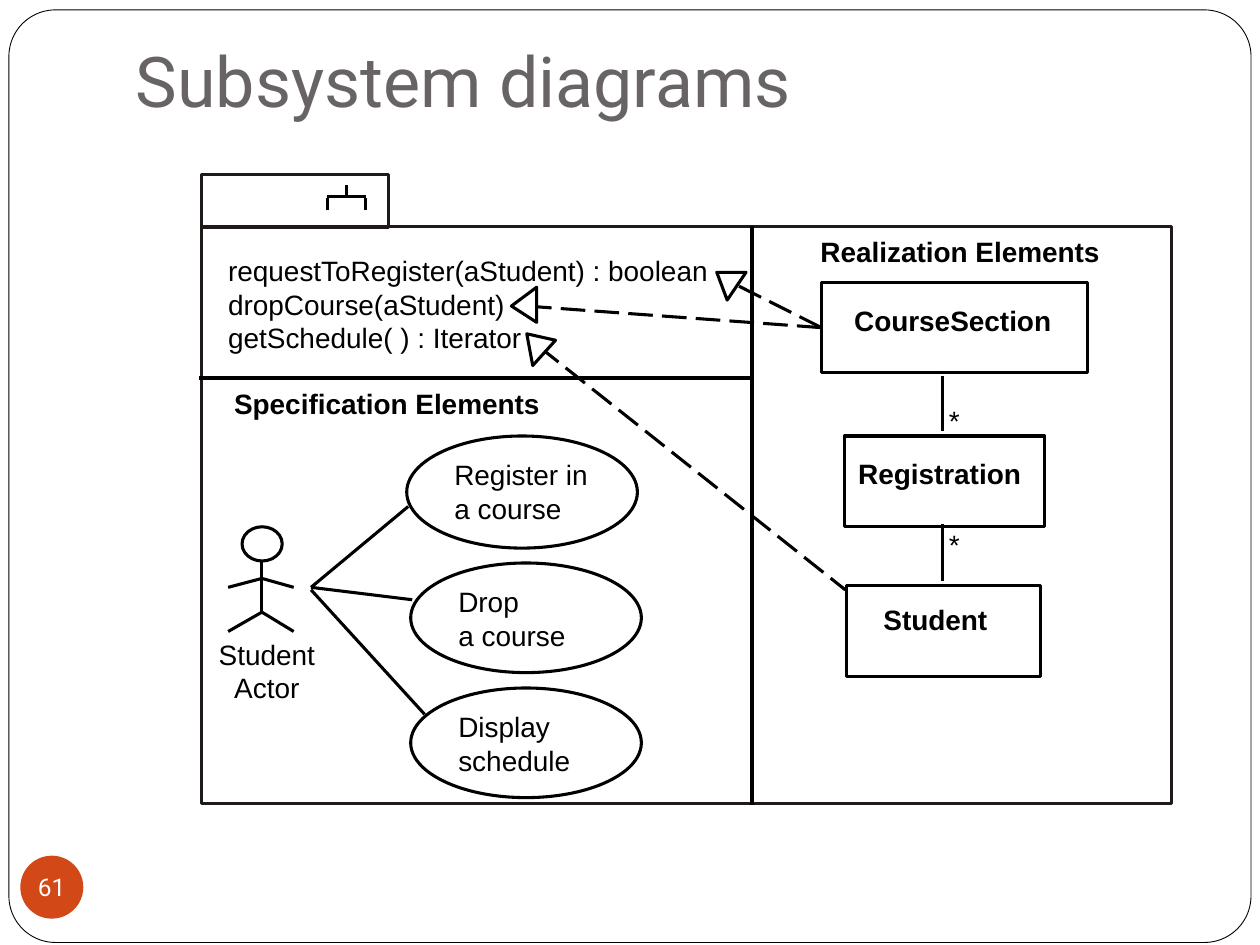
"""Build the slide "Subsystem diagrams", a UML subsystem with its compartments."""
import pptx
import pptx.dml.color
import pptx.enum.dml
import pptx.enum.shapes
import pptx.enum.text
import pptx.oxml
import pptx.util

Cm = pptx.util.Cm
Pt = pptx.util.Pt
RGB = pptx.dml.color.RGBColor.from_string
SHAPE = pptx.enum.shapes.MSO_SHAPE
ALIGN = pptx.enum.text.PP_ALIGN
ANCHOR = pptx.enum.text.MSO_ANCHOR

THEME = {
    "ink": "000000", "frame": "1F1A17", "paper": "FFFFFF",
    "title": "696464", "accent": "D34817",
    "body_font": "Arial", "title_font": "Roboto",
    "title_size": 40, "body_size": 16, "number_size": 14,
    "line": 1.75, "border": 0.5,
}

prs = pptx.Presentation()
prs.slide_width, prs.slide_height = Cm(25.4), Cm(19.05)
s = prs.slides.add_slide(prs.slide_layouts[6])


def add_item(kind, box, text="", fill=None, line="ink", width="line", font="body_font",
             size="body_size", color="ink", bold=False, align=ALIGN.LEFT,
             anchor=ANCHOR.TOP, inset=(0, 0, 0, 0), wrap=True):
    box = [Cm(v) for v in box]
    if kind is None:
        sp = s.shapes.add_textbox(*box)
    else:
        sp = s.shapes.add_shape(kind, *box)
        sp.shadow.inherit = False
        if fill:
            sp.fill.solid()
            sp.fill.fore_color.rgb = RGB(THEME[fill])
        else:
            sp.fill.background()
        if line:
            sp.line.color.rgb = RGB(THEME[line])
            sp.line.width = Pt(THEME[width])
        else:
            sp.line.fill.background()
    tf = sp.text_frame
    tf.word_wrap = wrap
    tf.vertical_anchor = anchor
    tf.margin_left, tf.margin_top, tf.margin_right, tf.margin_bottom = [Cm(v) for v in inset]
    if text:
        tf.text = text
        for p in tf.paragraphs:
            p.alignment = align
            for r in p.runs:
                r.font.name = THEME[font]
                r.font.size = Pt(THEME[size])
                r.font.bold = bold
                r.font.color.rgb = RGB(THEME[color])
    return sp


def add_line(x1, y1, x2, y2, dashed=False):
    c = s.shapes.add_connector(pptx.enum.shapes.MSO_CONNECTOR.STRAIGHT,
                               Cm(x1), Cm(y1), Cm(x2), Cm(y2))
    c.line.color.rgb = RGB(THEME["ink"])
    c.line.width = Pt(THEME["line"])
    if dashed:
        c.line.dash_style = pptx.enum.dml.MSO_LINE.LONG_DASH
    c._element.spPr.append(pptx.oxml.parse_xml(
        '<a:effectLst xmlns:a="http://schemas.openxmlformats.org/drawingml/2006/main"/>'))
    return c


border = add_item(SHAPE.ROUNDED_RECTANGLE, (0.18, 0.2, 25.04, 18.8), fill="paper", width="border")
border.adjustments[0] = 0.05
add_item(None, (2.49, -0.48, 21.59, 3.18), "Subsystem diagrams", font="title_font",
         size="title_size", color="title", anchor=ANCHOR.BOTTOM, inset=(0.25, 0.13, 0.25, 0.25))

add_item(SHAPE.RECTANGLE, (4.06, 4.57, 19.56, 11.63), line="frame")
add_item(SHAPE.RECTANGLE, (4.06, 3.51, 3.78, 1.07), line="frame")
add_line(15.16, 16.23, 15.16, 4.55)
add_line(4.01, 7.62, 15.16, 7.62)

fork = [(6.6, 4.24, 6.6, 3.99), (7.37, 4.24, 7.37, 3.99),
        (7.37, 3.97, 6.6, 3.97), (6.99, 3.97, 6.99, 3.73)]
for ends in fork:
    add_line(*ends)

add_item(None, (4.6, 5.11, 9.9, 2.05),
         "requestToRegister(aStudent) : boolean\ndropCourse(aStudent)\ngetSchedule( ) : Iterator",
         wrap=False)
for text, box in [("Realization Elements", (16.54, 4.72, 6.22, 0.81)),
                  ("Specification Elements", (4.72, 7.8, 6.73, 0.81))]:
    add_item(None, box, text, bold=True, wrap=False)

use_cases = [("Register in\na course", 8.2, 8.79, 2.26),
             ("Drop\na course", 8.28, 11.35, 2.21),
             ("Display\nschedule", 8.28, 13.87, 2.21)]
for text, x, y, h in use_cases:
    add_item(SHAPE.OVAL, (x, y, 4.65, h), text, inset=(0.28, 0.11, 0, 0))

add_item(SHAPE.OVAL, (4.88, 10.62, 0.81, 0.69))
actor_limbs = [(5.28, 11.28, 5.28, 12.34), (5.28, 12.34, 5.92, 12.73), (5.28, 12.34, 4.6, 12.73),
               (4.6, 11.84, 5.28, 11.66), (5.28, 11.66, 5.92, 11.84)]
actor_links = [(6.27, 11.84, 8.23, 10.21), (6.27, 11.84, 8.31, 12.09), (6.27, 11.89, 8.56, 14.4)]
for ends in actor_limbs + actor_links:
    add_line(*ends)
add_item(None, (4.3, 12.85, 2.16, 1.3), "Student\nActor", align=ALIGN.CENTER)

classes = {}
for name, box, left, top in [("CourseSection", (16.56, 5.69, 5.36, 1.83), 0.66, 0.43),
                             ("Registration", (17.02, 8.79, 4.04, 1.83), 0.28, 0.41),
                             ("Student", (17.07, 11.81, 3.91, 1.83), 0.74, 0.33)]:
    classes[name] = add_item(SHAPE.RECTANGLE, box, name, bold=True, inset=(left, top, 0, 0))

for y1, y2, star in [(7.57, 8.69, 8.13), (10.57, 11.71, 10.64)]:
    add_line(19, y1, 19, y2)
    add_item(None, (19.13, star, 0.51, 0.94), "*", wrap=False)

for x, y in [(14.58, 5.61), (10.62, 6.17)]:
    add_line(16.56, 6.6, x, y, dashed=True).begin_connect(classes["CourseSection"], 1)
add_line(10.87, 6.99, 17.04, 11.89, dashed=True)

arrowheads = [[(10.31, 6.17), (10.82, 5.79), (10.82, 6.5)],
              [(10.62, 6.73), (11.2, 6.86), (10.74, 7.37)],
              [(14.45, 5.49), (15.04, 5.49), (14.66, 6.05)]]
for points in arrowheads:
    tip, *rest = [(Cm(x), Cm(y)) for x, y in points]
    fb = s.shapes.build_freeform(*tip)
    fb.add_line_segments(rest, close=True)
    sp = fb.convert_to_shape()
    sp.shadow.inherit = False
    sp.fill.solid()
    sp.fill.fore_color.rgb = RGB(THEME["paper"])
    sp.line.color.rgb = RGB(THEME["ink"])
    sp.line.width = Pt(THEME["line"])

add_item(SHAPE.OVAL, (0.41, 17.25, 1.27, 1.27), "61", fill="accent", line=None,
         font="title_font", size="number_size", color="paper",
         align=ALIGN.CENTER, anchor=ANCHOR.MIDDLE, wrap=False)

prs.save("out.pptx")
